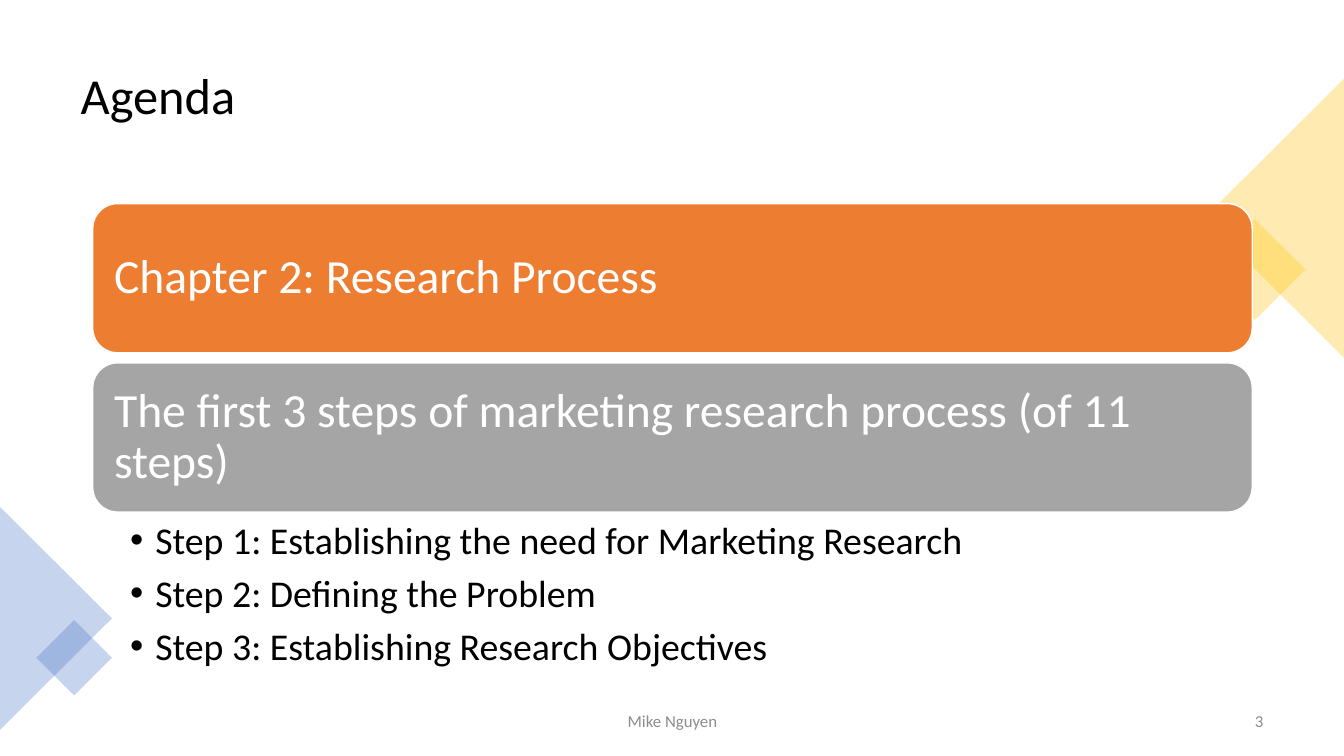
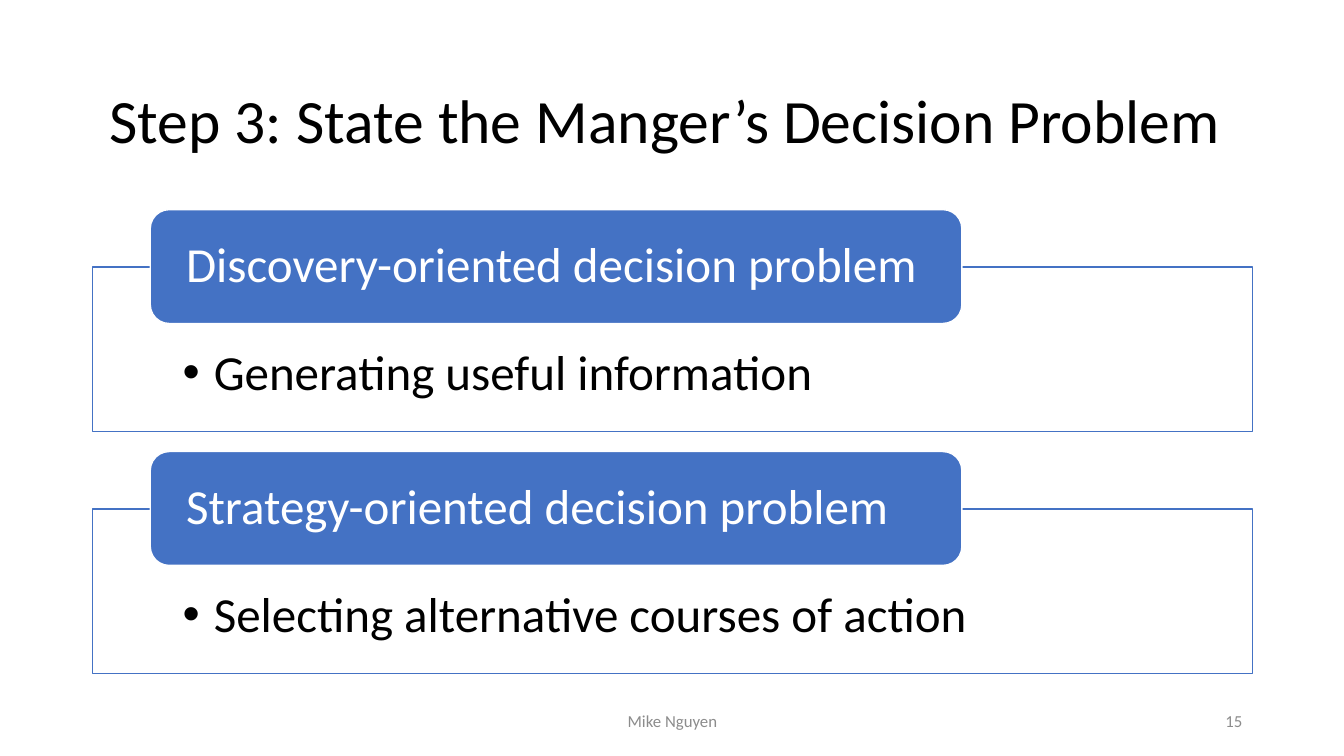
"""Build the agenda slide and the decision problem slide."""
import pptx
import pptx.util
import pptx.dml.color
import pptx.enum.shapes
import pptx.enum.text
import lxml.etree

Inches = pptx.util.Inches
Pt = pptx.util.Pt
SHAPE = pptx.enum.shapes.MSO_SHAPE
ALIGN = pptx.enum.text.PP_ALIGN
ANCHOR = pptx.enum.text.MSO_ANCHOR

FONT = "Calibri"
BLACK, WHITE, FOOTER_GREY = "000000", "FFFFFF", "8C8C8C"
BLUE, ORANGE, GREY, GOLD = "4472C4", "ED7D31", "A5A5A5", "FFC000"
LEFT, WIDTH = 0.92, 11.5

TITLE = {"vertical_anchor": ANCHOR.MIDDLE}
FOOTER = {"vertical_anchor": ANCHOR.MIDDLE}
AGENDA_CARD = {"vertical_anchor": ANCHOR.MIDDLE, "margin_left": Inches(0.14), "margin_right": Inches(0.14),
               "margin_top": Inches(0.14), "margin_bottom": Inches(0.14)}
AGENDA_LIST = {"vertical_anchor": ANCHOR.TOP, "margin_left": Inches(0.37), "margin_right": Inches(0.26),
               "margin_top": Inches(0.05), "margin_bottom": Inches(0.05)}
PROBLEM_TAB = {"vertical_anchor": ANCHOR.MIDDLE, "margin_left": Inches(0.3), "margin_right": Inches(0.3),
               "margin_top": 0, "margin_bottom": 0}
PROBLEM_FRAME = {"vertical_anchor": ANCHOR.TOP, "margin_left": Inches(0.89), "margin_right": Inches(0.89),
                 "margin_top": Inches(0.8), "margin_bottom": Inches(0.27)}


def paint(fill, colour, opacity=100):
    """Give a fill a solid colour and, if asked, some transparency."""
    fill.solid()
    fill.fore_color.rgb = pptx.dml.color.RGBColor.from_string(colour)
    if opacity < 100:
        srgb = fill._xPr.find(".//" + pptx.oxml.ns.qn("a:srgbClr"))
        lxml.etree.SubElement(srgb, pptx.oxml.ns.qn("a:alpha"), val=str(opacity * 1000))


def write(shape, box, lines, size, colour, frame_format, hang=0, **paragraph_format):
    """Place a shape and fill it with formatted paragraphs."""
    for side, length in zip(("left", "top", "width", "height"), box):
        setattr(shape, side, Inches(length))
    frame = shape.text_frame
    frame.text = "\n".join(lines)
    frame_values = {"word_wrap": True, "auto_size": pptx.enum.text.MSO_AUTO_SIZE.NONE, **frame_format}
    for name, value in frame_values.items():
        setattr(frame, name, value)
    paragraph_values = {"alignment": ALIGN.LEFT, "space_before": Pt(0), **paragraph_format}
    for paragraph in frame.paragraphs:
        for name, value in paragraph_values.items():
            setattr(paragraph, name, value)
        if hang:
            properties = paragraph._p.get_or_add_pPr()
            properties.set("marL", str(Inches(hang)))
            properties.set("indent", str(-Inches(hang)))
        for run in paragraph.runs:
            run.font.name, run.font.size = FONT, Pt(size)
            paint(run.font.fill, colour)


deck = pptx.Presentation()
deck.slide_width, deck.slide_height = Inches(13.33), Inches(7.5)
agenda = deck.slides.add_slide(deck.slide_layouts[1])
problems = deck.slides.add_slide(deck.slide_layouts[3])

headings = [
    (agenda, "Agenda", (0.7, 0.35, 11.93, 1.24), 36, ALIGN.LEFT, "3"),
    (problems, "Step 3: State the Manger’s Decision Problem ", (LEFT, 0.61, WIDTH, 1.24), 44, ALIGN.CENTER, "15"),
]
for slide, heading, box, size, alignment, number in headings:
    write(slide.shapes.title, box, [heading], size, BLACK, TITLE, alignment=alignment, line_spacing=0.9)
    number_left = box[0] + box[2] - 3
    for text, left, width, side in [("Mike Nguyen", 4.42, 4.5, ALIGN.CENTER), (number, number_left, 3, ALIGN.RIGHT)]:
        footer = slide.shapes.add_textbox(0, 0, 0, 0)
        write(footer, (left, 6.95, width, 0.4), [text], 12, FOOTER_GREY, FOOTER, alignment=side, space_after=Pt(6))

corner_ornaments = [
    (SHAPE.RECTANGLE, (12.09, 2.32, 0.71, 0.71), 45, GOLD),
    (SHAPE.ISOSCELES_TRIANGLE, (11.25, 1.47, 2.77, 1.39), 270, GOLD),
    (SHAPE.ISOSCELES_TRIANGLE, (-0.55, 5.58, 2.21, 1.11), 90, BLUE),
    (SHAPE.RECTANGLE, (0.47, 6.26, 0.53, 0.53), 45, BLUE),
]
for outline, box, angle, colour in corner_ornaments:
    ornament = agenda.shapes.add_shape(outline, *map(Inches, box))
    ornament.rotation = angle
    ornament.shadow.inherit = False
    paint(ornament.fill, colour, 30)
    ornament.line.fill.background()

cards = [
    (agenda, "Chapter 2: Research Process", (LEFT, 2.02, WIDTH, 1.48), ORANGE, 34, AGENDA_CARD),
    (agenda, "The first 3 steps of marketing research process (of 11 steps)",
     (LEFT, 3.6, WIDTH, 1.48), GREY, 34, AGENDA_CARD),
    (problems, "Discovery-oriented decision problem", (1.49, 2.08, 8.05, 1.13), BLUE, 35, PROBLEM_TAB),
    (problems, "Strategy-oriented decision problem", (1.49, 4.48, 8.05, 1.13), BLUE, 35, PROBLEM_TAB),
]
for slide, text, box, colour, size, frame_format in cards:
    card = slide.shapes.add_shape(SHAPE.ROUNDED_RECTANGLE, 0, 0, 0, 0)
    card.shadow.inherit = False
    paint(card.fill, colour)
    paint(card.line.fill, WHITE)
    card.line.width = Pt(1)
    write(card, box, [text], size, WHITE, frame_format, line_spacing=0.9)

steps = [
    "Step 1: Establishing the need for Marketing Research",
    "Step 2: Defining the Problem",
    "Step 3: Establishing Research Objectives",
]
write(agenda.placeholders[1], (LEFT, 5.08, WIDTH, 1.65), steps, 27, BLACK, AGENDA_LIST,
      hang=0.25, space_after=Pt(5.4))

purposes = ["Generating useful information", "Selecting alternative courses of action"]
for row, purpose in enumerate(purposes):
    purpose_frame = problems.placeholders[row + 1]
    paint(purpose_frame.fill, WHITE)
    paint(purpose_frame.line.fill, BLUE)
    purpose_frame.line.width = Pt(1)
    write(purpose_frame, (LEFT, 2.65 + 2.4 * row, WIDTH, 1.63), [purpose], 35, BLACK, PROBLEM_FRAME,
          hang=0.31, line_spacing=0.9)

deck.save("out.pptx")
